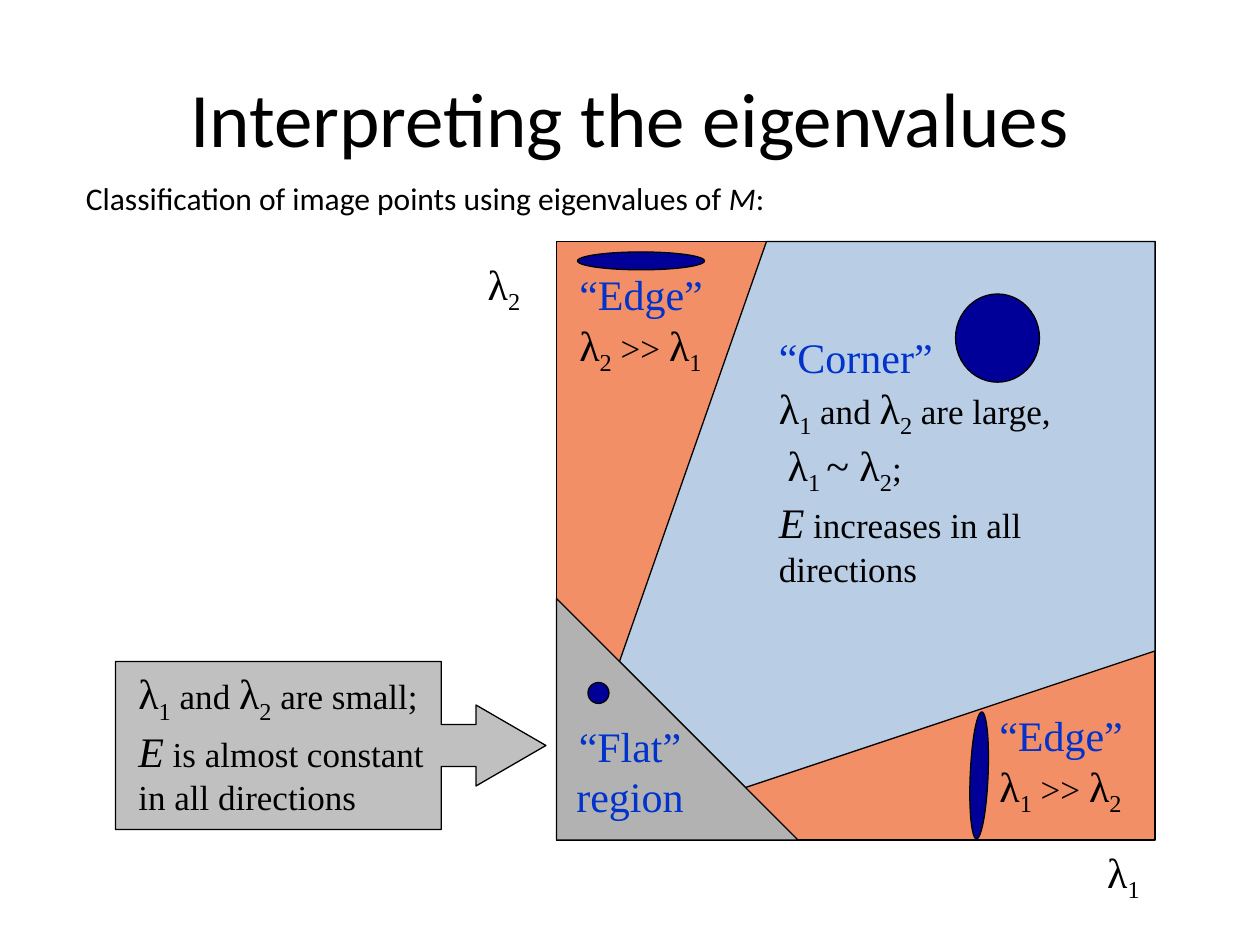
from pptx import Presentation
from pptx.dml.color import RGBColor
from pptx.enum.shapes import MSO_SHAPE
from pptx.enum.text import MSO_ANCHOR, MSO_AUTO_SIZE, PP_ALIGN
from pptx.util import Inches, Pt

RECT, OVAL = MSO_SHAPE.RECTANGLE, MSO_SHAPE.OVAL
WEDGE, CALL = MSO_SHAPE.RIGHT_TRIANGLE, MSO_SHAPE.RIGHT_ARROW_CALLOUT
LEFT, MID = PP_ALIGN.LEFT, PP_ALIGN.CENTER
TOP, CORE = MSO_ANCHOR.TOP, MSO_ANCHOR.MIDDLE
GROW = MSO_AUTO_SIZE.SHAPE_TO_FIT_TEXT

SANS, SERIF = "Calibri", "Times New Roman"
THEME = {
    "ink": "000000", "edge": "F38F67", "corner": "B9CDE5", "flat": "B2B2B2",
    "note": "C0C0C0", "dot": "000099", "line": 0.75,
    # text styles: font, size, colour, italic, baseline
    "title": (SANS, 44, "000000", False, 0),
    "lead": (SANS, 18, "000000", False, 0),
    "lead_it": (SANS, 18, "000000", True, 0),
    "head": (SERIF, 24, "0033CC", False, 0),
    "sym": (SERIF, 24, "000000", False, 0),
    "sub": (SERIF, 24, "000000", False, -25000),
    "var": (SERIF, 24, "000000", True, 0),
    "body": (SERIF, 20, "000000", False, 0),
}

deck = Presentation()
deck.slide_width, deck.slide_height = Inches(10), Inches(7.5)
slide = deck.slides.add_slide(deck.slide_layouts[6])
CELL = deck.slide_width / 120  # grid of 120 columns by 90 rows


def paint(shape, fill):
    shape.shadow.inherit = False
    shape.fill.solid()
    shape.fill.fore_color.rgb = RGBColor.from_string(THEME[fill])
    shape.line.color.rgb = RGBColor.from_string(THEME["ink"])
    shape.line.width = Pt(THEME["line"])


def write(area, runs, align=LEFT, anchor=TOP):
    box = slide.shapes.add_textbox(*[round(n * CELL) for n in area])
    frame = box.text_frame
    frame.word_wrap = True
    frame.vertical_anchor = anchor
    if anchor == TOP:
        frame.auto_size = GROW
    para = frame.paragraphs[0]
    para.alignment = align
    for style, text in runs:
        if style == "break":
            para.add_line_break()
            continue
        name, size, ink, slant, base = THEME[style]
        run = para.add_run()
        run.text = text
        run.font.name, run.font.size = name, Pt(size)
        run.font.italic = slant
        run.font.color.rgb = RGBColor.from_string(ink)
        if base:
            run._r.get_or_add_rPr().set("baseline", str(base))


# Regions: callout, edge square, corner polygon, flat triangle
X, Y, SIDE = 53, 23, 57
call = slide.shapes.add_shape(CALL, *[round(n * CELL) for n in (11, 63, 41, 16)])
for i, value in enumerate((0.25, 0.241, 0.416, 0.757)):
    call.adjustments[i] = value
paint(call, "note")

plot = [round(n * CELL) for n in (X, Y, SIDE, SIDE)]
paint(slide.shapes.add_shape(RECT, *plot), "edge")

right = X + SIDE
pen = slide.shapes.build_freeform(59, 63, scale=CELL)
pen.add_line_segments([(73, Y), (right, Y), (right, 62), (70.6, 74.6)], close=True)
paint(pen.convert_to_shape(), "corner")

wedge = [round(n * CELL) for n in (X, 57, 23, 23)]
paint(slide.shapes.add_shape(WEDGE, *wedge), "flat")

# Text
LAM1 = [("sym", "λ"), ("sub", "1")]
LAM2 = [("sym", "λ"), ("sub", "2")]
BR = [("break", "")]
BOTH = LAM1 + [("body", " and ")] + LAM2
EDGE = [("head", "“Edge”")] + BR
MORE = [("body", " >> ")]

write((6, 3.6, 108, 15), [("title", "Interpreting the eigenvalues")], MID, CORE)
write((7, 16.5, 105, 12.4), [
    ("lead", "Classification of image points using eigenvalues of "),
    ("lead_it", "M"), ("lead", ":")])
write((102, 80, 10, 6), LAM1, MID)
write((41, 24, 14, 6), LAM2, MID)
write((73, 31, 35, 24.4),
      [("head", "“Corner”")] + BR + BOTH + [("body", " are large,")] + BR
      + [("body", " "), ("sym", "λ"), ("sub", "1 "), ("sym", "~ ")] + LAM2
      + [("body", ";")] + BR
      + [("var", "E"), ("body", " increases in all directions")])
write((12, 63, 31, 14.8),
      BOTH + [("body", " are small;")] + BR
      + [("var", "E"), ("body", " is almost constant in all directions")])
write((94, 67, 17, 10.8), EDGE + LAM1 + MORE + LAM2)
write((54, 25, 17, 10.8), EDGE + LAM2 + MORE + LAM1)
write((52, 68, 16, 10.8), [("head", "“Flat” region")], MID)

# Ellipses that show the eigenvalue ratio
for area, turn in [((91, 28, 8, 8.4), 0), ((55, 24, 12.1, 1.7), 0),
                   ((56, 65, 2, 2), 0), ((87.2, 73, 12.1, 1.7), 92.4)]:
    dot = slide.shapes.add_shape(OVAL, *[round(n * CELL) for n in area])
    dot.rotation = turn
    paint(dot, "dot")

deck.save("out.pptx")
